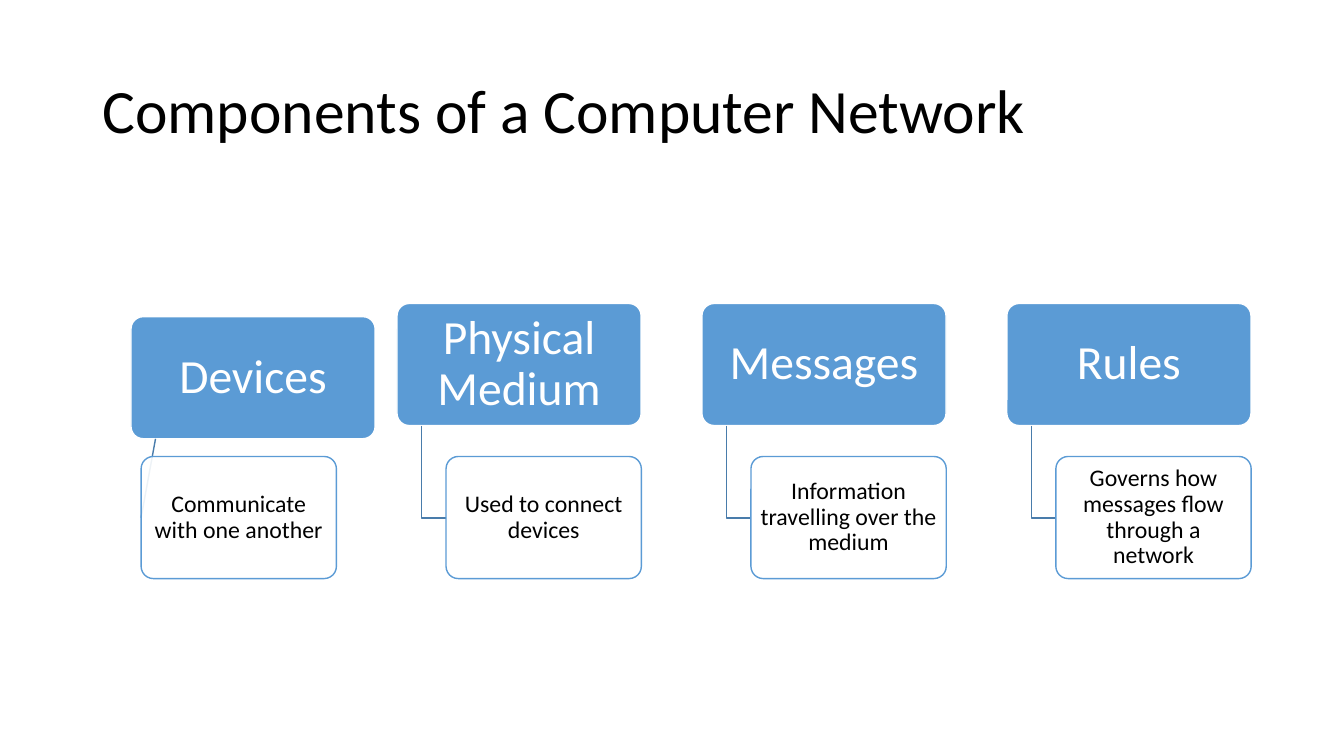
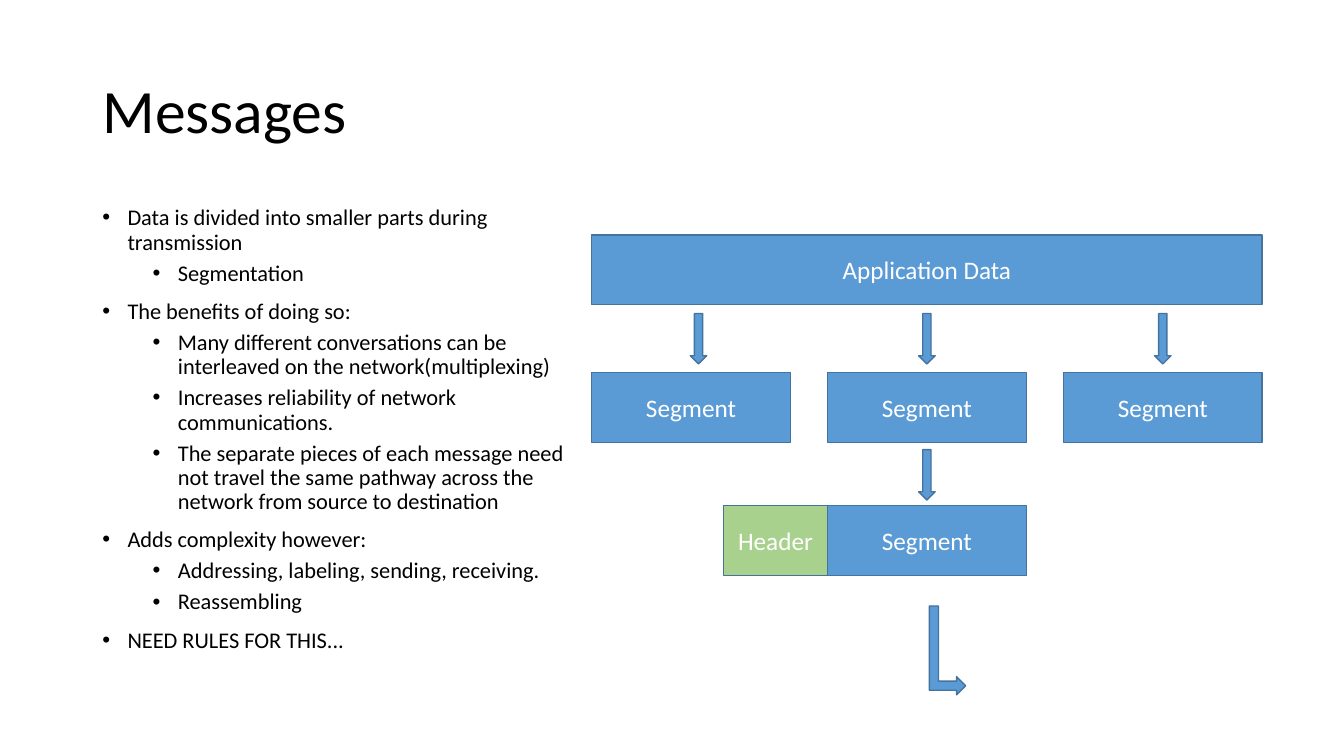
from dataclasses import dataclass

from lxml.etree import SubElement
from pptx import Presentation
from pptx.dml.color import RGBColor
from pptx.enum.shapes import MSO_CONNECTOR as Connector, MSO_SHAPE as Preset
from pptx.enum.text import MSO_ANCHOR as Anchor, MSO_AUTO_SIZE as AutoSize, PP_ALIGN as Align
from pptx.oxml.ns import qn
from pptx.util import Pt


@dataclass(frozen=True)
class Theme:
    font: str = "Calibri"
    black: str = "000000"
    white: str = "FFFFFF"
    blue: str = "5B9BD5"
    green: str = "A9D18E"
    outline: str = "43739E"
    link: str = "497CAB"
    title_size: int = 44
    heading_size: int = 34
    detail_size: int = 17
    block_size: int = 18
    body_size: int = 16
    line_spacing: float = 0.9
    line_width: int = 1


THEME = Theme()

COMPONENTS = [
    ("Devices", "Communicate with one another"),
    ("Physical Medium", "Used to connect devices"),
    ("Messages", "Information travelling over the medium"),
    ("Rules", "Governs how messages flow through a network"),
]

# Each entry: outline level, text
BULLETS = [
    (0, "Data is divided into smaller parts during transmission"),
    (1, "Segmentation"),
    (0, "The benefits of doing so:"),
    (1, "Many different conversations can be interleaved on the network(multiplexing)"),
    (1, "Increases reliability of network communications."),
    (1, "The separate pieces of each message need not travel the same pathway "
        "across the network from source to destination"),
    (0, "Adds complexity however:"),
    (1, "Addressing, labeling, sending, receiving."),
    (1, "Reassembling"),
    (0, "NEED RULES FOR THIS..."),
]


def color(value):
    return RGBColor.from_string(value)


def add_text(paragraph, text, size, text_color, align=Align.LEFT, spacing=None):
    paragraph.alignment = align
    paragraph.line_spacing = spacing
    run = paragraph.add_run()
    run.text = text
    run.font.name = THEME.font
    run.font.size = Pt(size)
    run.font.color.rgb = color(text_color)


def add_title_slide(presentation, text):
    slide = presentation.slides.add_slide(presentation.slide_layouts[5])
    title = slide.shapes.title
    title.left, title.top, title.width, title.height = Pt(66), Pt(28.75), Pt(828), Pt(104.4)
    frame = title.text_frame
    frame.auto_size = AutoSize.NONE
    frame.vertical_anchor = Anchor.MIDDLE
    add_text(frame.paragraphs[0], text, THEME.title_size, THEME.black,
             spacing=THEME.line_spacing)
    return slide


def add_preset(slide, preset, left, top, width, height, fill=THEME.blue, line=THEME.outline):
    shape = slide.shapes.add_shape(preset, Pt(left), Pt(top), Pt(width), Pt(height))
    shape.shadow.inherit = False
    shape.fill.solid()
    shape.fill.fore_color.rgb = color(fill)
    shape.line.color.rgb = color(line)
    shape.line.width = Pt(THEME.line_width)
    return shape


def set_label(shape, text, size, text_color=THEME.white, insets=(7.2, 3.6), spacing=None):
    frame = shape.text_frame
    frame.word_wrap = True
    frame.vertical_anchor = Anchor.MIDDLE
    frame.margin_left = frame.margin_right = Pt(insets[0])
    frame.margin_top = frame.margin_bottom = Pt(insets[1])
    add_text(frame.paragraphs[0], text, size, text_color, Align.CENTER, spacing)


def add_card(slide, left, top, width, height, text, is_heading):
    line = THEME.white if is_heading else THEME.blue
    fill = THEME.blue if is_heading else THEME.white
    card = add_preset(slide, Preset.ROUNDED_RECTANGLE, left, top, width, height, fill, line)
    card.adjustments[0] = 0.1
    if is_heading:
        set_label(card, text, THEME.heading_size, THEME.white, (5, 3.6), THEME.line_spacing)
    else:
        set_label(card, text, THEME.detail_size, THEME.black, (3, 2), THEME.line_spacing)
        fill_color = card.element.spPr.find(qn("a:solidFill"))[0]
        SubElement(fill_color, qn("a:alpha")).set("val", "90000")
    return card


def style_link(link):
    link.line.color.rgb = color(THEME.link)
    link.line.width = Pt(THEME.line_width)


def add_straight_link(slide, start_x, start_y, card):
    link = slide.shapes.add_connector(Connector.STRAIGHT, Pt(start_x), Pt(start_y),
                                      card.left, card.top + card.height // 2)
    link.end_connect(card, 1)
    style_link(link)
    SubElement(link.element.spPr, qn("a:effectLst"))
    # The link runs behind the translucent card
    card.element.addprevious(link.element)


def add_elbow_link(slide, start_x, start_y, end_x, end_y):
    builder = slide.shapes.build_freeform(start_x, start_y, scale=Pt(1))
    builder.add_line_segments([(start_x, end_y), (end_x, end_y)], close=False)
    link = builder.convert_to_shape()
    link.shadow.inherit = False
    link.fill.background()
    style_link(link)


def add_bullets(slide, left, top, width, height, bullets):
    frame = slide.shapes.add_textbox(Pt(left), Pt(top), Pt(width), Pt(height)).text_frame
    frame.word_wrap = True
    for index, (level, text) in enumerate(bullets):
        paragraph = frame.paragraphs[0] if index == 0 else frame.add_paragraph()
        properties = paragraph._p.get_or_add_pPr()
        properties.set("marL", str(Pt(18 + 36 * level)))
        properties.set("indent", str(-Pt(18)))
        SubElement(properties, qn("a:buFont")).set("typeface", "Arial")
        SubElement(properties, qn("a:buChar")).set("char", "•")
        paragraph.level = level
        if index:
            paragraph.space_before = Pt(5 if level else 10)
        add_text(paragraph, text, THEME.body_size, THEME.black, spacing=THEME.line_spacing)


def build_components(presentation):
    slide = add_title_slide(presentation, "Components of a Computer Network")
    first_left, step = 100.8, 217.8
    heading_width, detail_width, card_height = 174.4, 139.5, 87.2
    heading_top, detail_top = 216.8, 326.1
    link_inset = 17.5

    for index, (heading, detail) in enumerate(COMPONENTS):
        detail_left = first_left + index * step
        # The first heading sits lower and further right than the others
        is_first = index == 0
        left = 93.6 if is_first else detail_left - 2 * link_inset
        top = heading_top + 9.4 if is_first else heading_top
        add_card(slide, left, top, heading_width, card_height, heading, True)
        link_start = left + link_inset, top + card_height
        if not is_first:
            add_elbow_link(slide, *link_start, detail_left, detail_top + card_height / 2)
        card = add_card(slide, detail_left, detail_top, detail_width, card_height, detail, False)
        if is_first:
            add_straight_link(slide, *link_start, card)


def build_messages(presentation):
    slide = add_title_slide(presentation, "Messages")
    add_bullets(slide, 66, 144, 350, 349.2, BULLETS)

    # Grid of the segmentation diagram
    block_width, block_height, step = 142, 49.7, 168.5
    columns = [422.6 + index * step for index in range(3)]
    data_top, segment_top, packet_top = 167.8, 266.3, 361.2
    header_width = 74.4
    arrow_width, arrow_height = 11.8, 36

    blocks = [("Application Data", columns[0], data_top, 2 * step + block_width, THEME.blue)]
    blocks += [("Segment", left, segment_top, block_width, THEME.blue) for left in columns]
    blocks += [
        ("Segment", columns[1], packet_top, block_width, THEME.blue),
        ("Header", columns[1] - header_width, packet_top, header_width, THEME.green),
    ]
    for text, left, top, width, fill in blocks:
        block = add_preset(slide, Preset.RECTANGLE, left, top, width, block_height, fill)
        set_label(block, text, THEME.block_size)

    # Arrows: the first one stands slightly right of its column's centre
    centers = [left + block_width / 2 for left in columns]
    arrows = [(centers[0] + 5.4, 224), (centers[1], 224), (centers[2], 224), (centers[1], 321.2)]
    for center, top in arrows:
        add_preset(slide, Preset.DOWN_ARROW, center - arrow_width / 2, top,
                   arrow_width, arrow_height)
    turn = add_preset(slide, Preset.BENT_UP_ARROW, 645.1, 451.6, 63.4, 25.9)
    turn.rotation = 90


def main():
    presentation = Presentation()
    presentation.slide_width, presentation.slide_height = Pt(960), Pt(540)
    build_components(presentation)
    build_messages(presentation)
    presentation.save("out.pptx")


if __name__ == "__main__":
    main()
